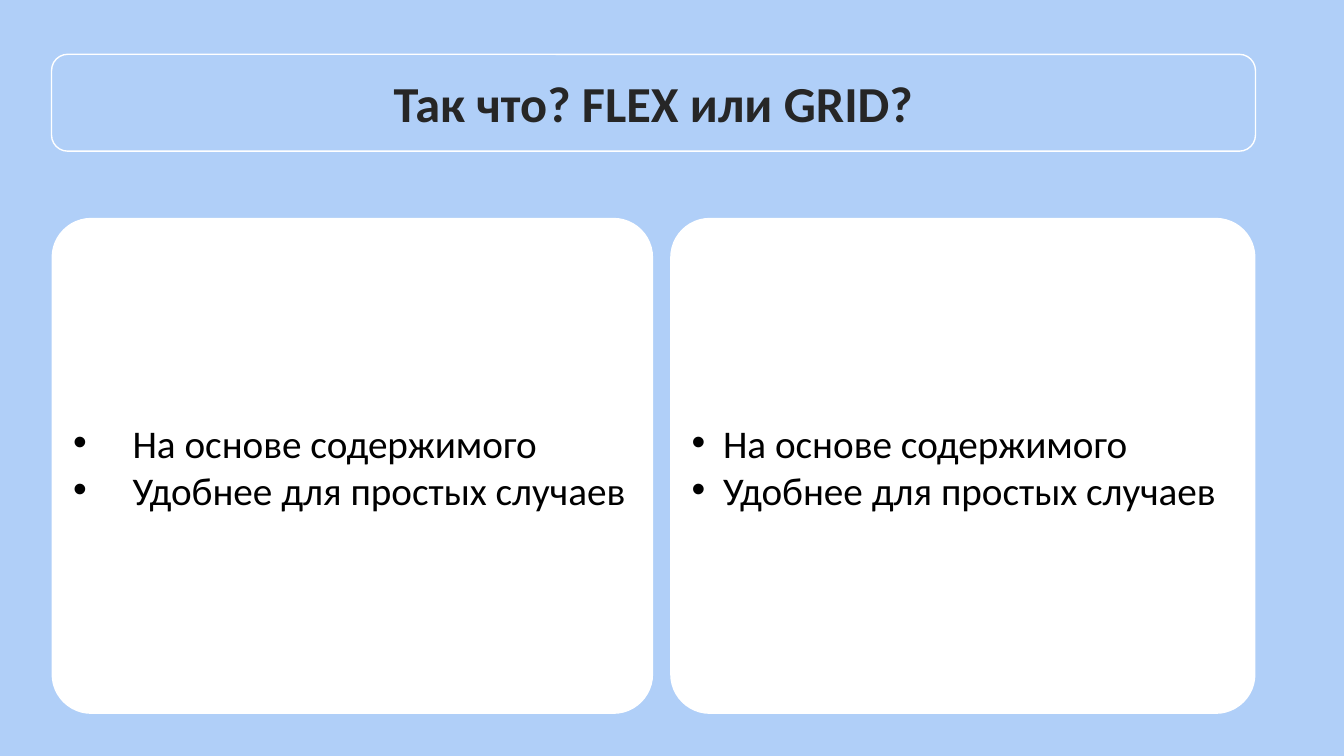
from lxml.etree import SubElement
from pptx import Presentation
from pptx.dml.color import RGBColor
from pptx.enum.shapes import MSO_SHAPE
from pptx.enum.text import MSO_ANCHOR, PP_ALIGN
from pptx.oxml.ns import qn
from pptx.util import Cm, Pt

SLIDE_WIDTH, SLIDE_HEIGHT = 33.87, 19.05
LEFT, RIGHT = 1.3, 31.64
CARD_TOP, CARD_HEIGHT = 5.49, 12.5
SKY, WHITE, BLACK, CHARCOAL = "B0CFF8", "FFFFFF", "000000", "262626"
CARDS = [
    (LEFT, 15.16, 1.5),
    (16.89, RIGHT - 16.89, 0.79),
]
ADVANTAGES = ["На основе содержимого", "Удобнее для простых случаев"]


def paint(colour_format, colour):
    colour_format.rgb = RGBColor.from_string(colour)


def add_panel(slide, kind, left, top, width, height, fill=None, outline=None, rounding=None):
    panel = slide.shapes.add_shape(kind, Cm(left), Cm(top), Cm(width), Cm(height))
    panel.shadow.inherit = False
    if rounding is not None:
        panel.adjustments[0] = rounding
    if fill:
        panel.fill.solid()
        paint(panel.fill.fore_color, fill)
    else:
        panel.fill.background()
    if outline:
        panel.line.width = Pt(1)
        paint(panel.line.color, outline)
    else:
        panel.line.fill.background()
    return panel


def add_bullet(paragraph, indent):
    properties = paragraph._p.get_or_add_pPr()
    properties.set("marL", str(Cm(indent)))
    properties.set("indent", str(-Cm(indent)))
    SubElement(properties, qn("a:buFont"), typeface="Arial")
    SubElement(properties, qn("a:buChar"), char="•")


def write(panel, lines, size, colour, bold=False, align=PP_ALIGN.LEFT, bullet_indent=None):
    frame = panel.text_frame
    frame.word_wrap = True
    frame.vertical_anchor = MSO_ANCHOR.MIDDLE
    for number, line in enumerate(lines):
        paragraph = frame.add_paragraph() if number else frame.paragraphs[0]
        paragraph.alignment = align
        if bullet_indent:
            add_bullet(paragraph, bullet_indent)
        run = paragraph.add_run()
        run.text = line
        run.font.name = "Calibri"
        run.font.size = Pt(size)
        run.font.bold = bold
        paint(run.font.color, colour)


def main():
    presentation = Presentation()
    presentation.slide_width = Cm(SLIDE_WIDTH)
    presentation.slide_height = Cm(SLIDE_HEIGHT)
    slide = presentation.slides.add_slide(presentation.slide_layouts[6])

    add_panel(slide, MSO_SHAPE.RECTANGLE, 0, 0, SLIDE_WIDTH, SLIDE_HEIGHT, fill=SKY)
    heading = add_panel(slide, MSO_SHAPE.ROUNDED_RECTANGLE, LEFT, 1.37, RIGHT - LEFT, 2.44,
                        outline=WHITE)
    write(heading, ["Так что? FLEX или GRID?"], size=36, colour=CHARCOAL, bold=True,
          align=PP_ALIGN.CENTER)
    for left, width, indent in CARDS:
        card = add_panel(slide, MSO_SHAPE.ROUNDED_RECTANGLE, left, CARD_TOP, width, CARD_HEIGHT,
                         fill=WHITE, rounding=0.08)
        write(card, ADVANTAGES, size=28, colour=BLACK, bullet_indent=indent)

    presentation.save("out.pptx")


if __name__ == "__main__":
    main()
